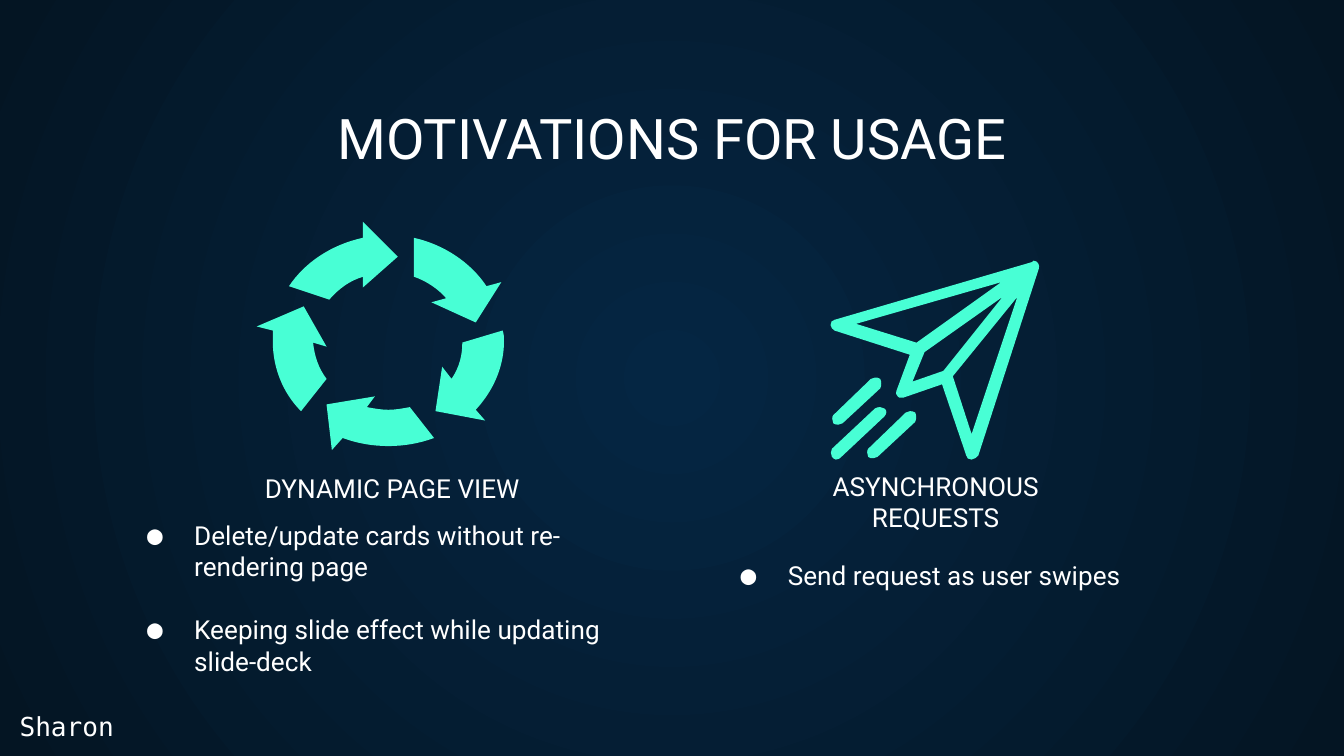
from dataclasses import dataclass

from lxml.etree import SubElement
from pptx import Presentation
from pptx.dml.color import RGBColor
from pptx.enum.text import MSO_ANCHOR, PP_ALIGN
from pptx.oxml.ns import qn
from pptx.util import Cm, Pt


@dataclass(frozen=True)
class Theme:
    center: RGBColor = RGBColor(0x05, 0x26, 0x43)
    edge: RGBColor = RGBColor(0x04, 0x15, 0x23)
    accent: RGBColor = RGBColor(0x48, 0xFF, 0xD5)
    text: RGBColor = RGBColor(0xFF, 0xFF, 0xFF)
    font: str = "Roboto"
    mono: str = "DejaVu Sans Mono"
    title_size: Pt = Pt(30)
    body_size: Pt = Pt(14)
    bullet_gap: Pt = Pt(16.8)


THEME = Theme()
INSET = Cm(0.25)
ICON_UNIT = Cm(2.54) / 100  # the outlines below count in this unit

# Outlines: M starts a contour, L is a line, C a cubic curve, Z closes
CYCLE_ARROWS = [
    "M 270 165 L 270 177 C 247 182 227 195 215 213 L 245 223 "
    "C 252 215 260 209 270 206 L 270 214 L 296 191 L 270 165 Z",
    "M 226 228 L 191 243 L 203 246 C 203 249 203 251 203 254 "
    "C 203 273 210 292 224 306 L 243 282 C 237 274 234 265 233 255 "
    "L 233 255 L 243 258 L 226 228 Z",
    "M 279 295 L 243 301 L 247 335 L 255 326 C 266 330 277 332 289 332 "
    "C 301 332 312 330 323 326 L 305 303 C 300 304 294 305 289 305 "
    "C 284 305 278 304 273 303 L 279 295 Z",
    "M 374 246 L 344 255 C 344 264 342 273 336 282 L 329 273 L 324 306 "
    "L 361 313 L 354 305 C 367 291 375 273 375 254 C 375 251 375 249 374 246 Z",
    "M 308 177 L 308 206 C 317 209 326 215 332 222 L 321 225 L 354 240 "
    "L 373 210 L 373 210 L 362 213 C 350 195 330 182 308 177 Z",
]
PLANE = (
    "M 745 210 L 682 255 L 637 241 L 745 210 Z "
    "M 746 221 L 702 276 L 679 284 L 688 262 L 746 221 Z "
    "M 757 221 L 723 323 L 709 280 L 757 221 Z "
    "M 769 194 C 769 194 768 194 768 195 L 621 238 C 619 238 618 240 618 242 "
    "C 618 244 620 245 621 246 L 677 264 L 667 291 C 666 292 667 294 668 295 "
    "C 668 296 670 296 671 296 C 671 296 672 296 672 296 L 701 286 L 719 339 "
    "C 719 341 721 342 723 342 C 725 342 727 340 728 339 L 773 200 "
    "C 774 197 772 194 769 194 Z"
)
SHORT_TRAIL = (
    "M 651 281 C 650 281 649 281 648 282 L 620 309 C 619 310 619 313 620 315 "
    "C 621 316 622 316 624 316 C 625 316 626 316 627 315 L 655 289 "
    "C 656 287 656 284 655 282 C 654 281 652 281 651 281 Z"
)
LONG_TRAIL = (
    "M 655 303 C 654 303 652 303 651 304 L 619 334 C 618 336 618 338 619 340 "
    "C 620 341 621 342 622 342 C 624 342 625 341 626 340 L 658 310 "
    "C 660 308 660 305 658 304 C 657 303 656 303 655 303 Z"
)


def set_background(slide):
    fill = slide.background.fill
    fill.gradient()
    for stop, color in zip(fill.gradient_stops, (THEME.center, THEME.edge)):
        stop.color.rgb = color
    gradient = slide.element.find(".//" + qn("a:gradFill"))
    gradient.remove(gradient.find(qn("a:lin")))
    circle = SubElement(gradient, qn("a:path"), path="circle")
    SubElement(circle, qn("a:fillToRect"), l="50000", t="50000", r="50000", b="50000")


def read_contours(outline, offset):
    """One list of points, control points included, for each contour."""
    contours = []
    for contour in outline.split("Z")[:-1]:
        numbers = [int(word) for word in contour.split() if word not in "MLC"]
        contours.append([((x + offset[0]) * ICON_UNIT, (y + offset[1]) * ICON_UNIT)
                         for x, y in zip(numbers[::2], numbers[1::2])])
    return contours


def bend_curves(shape, outline):
    """Join each three segments that stand for a C into one cubic curve."""
    path = shape._element.find(".//" + qn("a:pathLst"))[0]
    segments = iter(list(path))
    for command in (word for word in outline.split() if word in "MLCZ"):
        segment = next(segments)
        if command == "C":
            curve = segment.makeelement(qn("a:cubicBezTo"))
            segment.addprevious(curve)
            for part in (segment, next(segments), next(segments)):
                curve.append(part[0])
                path.remove(part)


def add_outline(group, outline, offset=(0, 0)):
    contours = read_contours(outline, offset)
    builder = group.shapes.build_freeform(*contours[0][0], scale=1.0)
    for number, points in enumerate(contours):
        if number:
            builder.move_to(*points[0])
        builder.add_line_segments(points[1:], close=True)
    shape = builder.convert_to_shape()
    bend_curves(shape, outline)
    shape.shadow.inherit = False
    shape.fill.solid()
    shape.fill.fore_color.rgb = THEME.accent
    shape.line.fill.background()


def add_bullet(paragraph):
    properties = paragraph._p.get_or_add_pPr()
    properties.set("marL", str(Cm(1.27)))
    properties.set("indent", str(Cm(-0.89)))
    color = SubElement(properties, qn("a:buClr"))
    SubElement(color, qn("a:srgbClr"), val=str(THEME.text))
    SubElement(properties, qn("a:buFont"), typeface=THEME.mono)
    SubElement(properties, qn("a:buChar"), char="●")


def add_text(slide, box, lines, bullets=False, align=PP_ALIGN.LEFT,
             anchor=MSO_ANCHOR.TOP, size=THEME.body_size, font=THEME.font):
    shape = slide.shapes.add_textbox(*(Cm(length) for length in box))
    frame = shape.text_frame
    frame_format = {"word_wrap": True, "vertical_anchor": anchor,
                    "margin_left": INSET, "margin_right": INSET,
                    "margin_top": INSET, "margin_bottom": INSET}
    for name, value in frame_format.items():
        setattr(frame, name, value)
    for number, line in enumerate(lines):
        paragraph = frame.add_paragraph() if number else frame.paragraphs[0]
        if bullets:
            add_bullet(paragraph)
        if number:
            paragraph.space_before = THEME.bullet_gap
        paragraph.alignment = align
        run = paragraph.add_run()
        run.text = line
        for name, value in {"name": font, "size": size}.items():
            setattr(run.font, name, value)
        run.font.color.rgb = THEME.text


def add_heading(slide, box, text, size=THEME.body_size):
    add_text(slide, box, [text], align=PP_ALIGN.CENTER,
             anchor=MSO_ANCHOR.BOTTOM, size=size)


def main():
    presentation = Presentation()
    presentation.slide_width = Cm(25.4)
    presentation.slide_height = Cm(14.29)
    slide = presentation.slides.add_slide(presentation.slide_layouts[6])
    set_background(slide)

    # Headings and bullets
    add_text(slide, (2.15, 9.57, 10.08, 1.4),
             ["Delete/update cards without re-rendering page",
              "Keeping slide effect while updating slide-deck"], bullets=True)
    add_heading(slide, (4.53, 9.24, 5.77, 0.53), "DYNAMIC PAGE VIEW")
    add_heading(slide, (14.8, 9.8, 5.77, 0.53), "ASYNCHRONOUS REQUESTS")
    add_heading(slide, (0.87, 1.8, 23.67, 1.68), "MOTIVATIONS FOR USAGE",
                THEME.title_size)
    add_text(slide, (12.36, 10.33, 10.08, 1.4), ["Send request as user swipes"],
             bullets=True, align=PP_ALIGN.CENTER)

    # Cycle icon
    cycle = slide.shapes.add_group_shape()
    for arrow in CYCLE_ARROWS:
        add_outline(cycle, arrow)

    # Paper plane icon with its trails
    plane = slide.shapes.add_group_shape()
    add_outline(plane, PLANE)
    for offset in ((0, 0), (26, 25)):
        add_outline(plane, SHORT_TRAIL, offset)
    add_outline(plane, LONG_TRAIL)

    # Speaker
    add_text(slide, (0.12, 13.18, 2.57, 0.99), ["Sharon"], font=THEME.mono)

    presentation.save("out.pptx")


if __name__ == "__main__":
    main()
